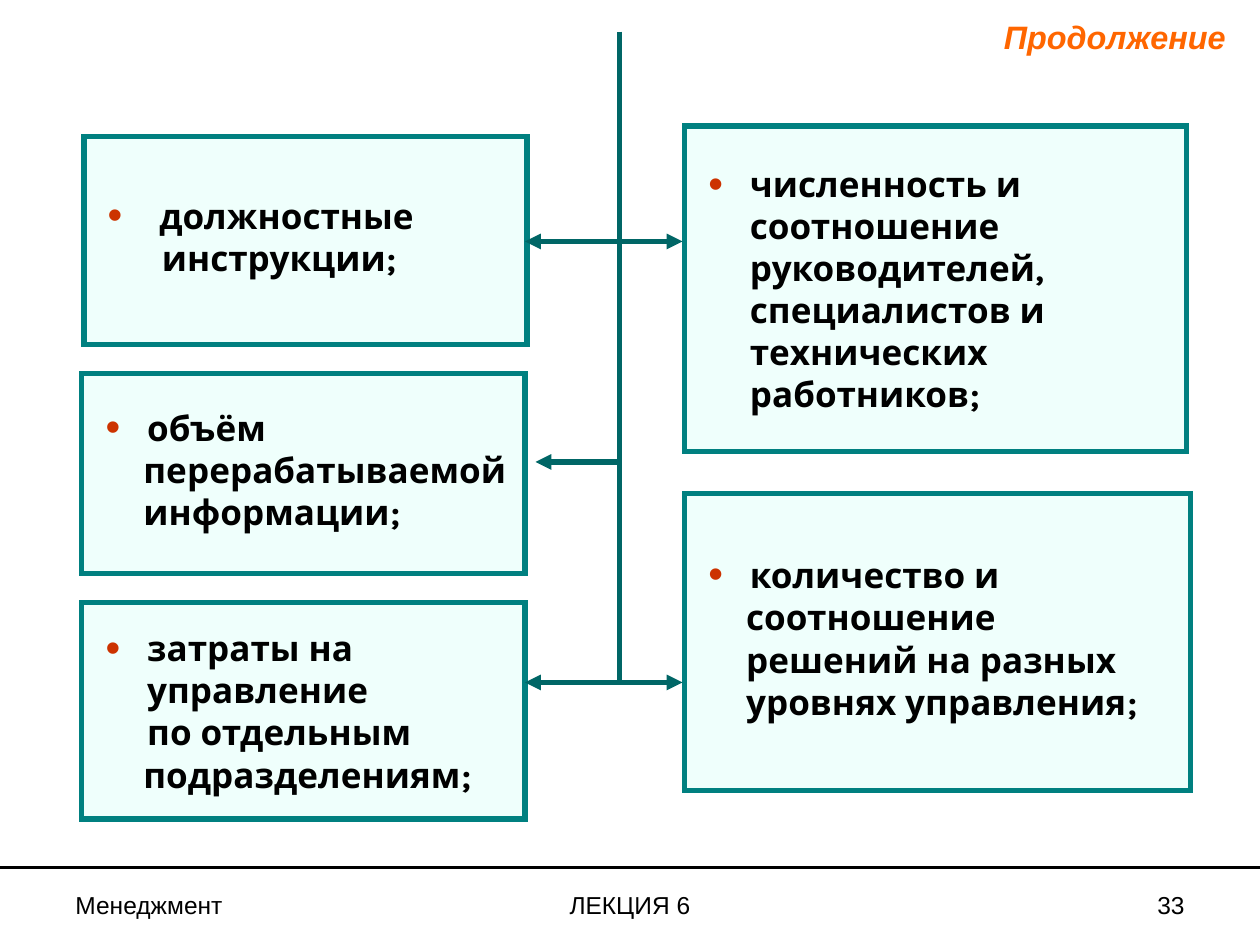
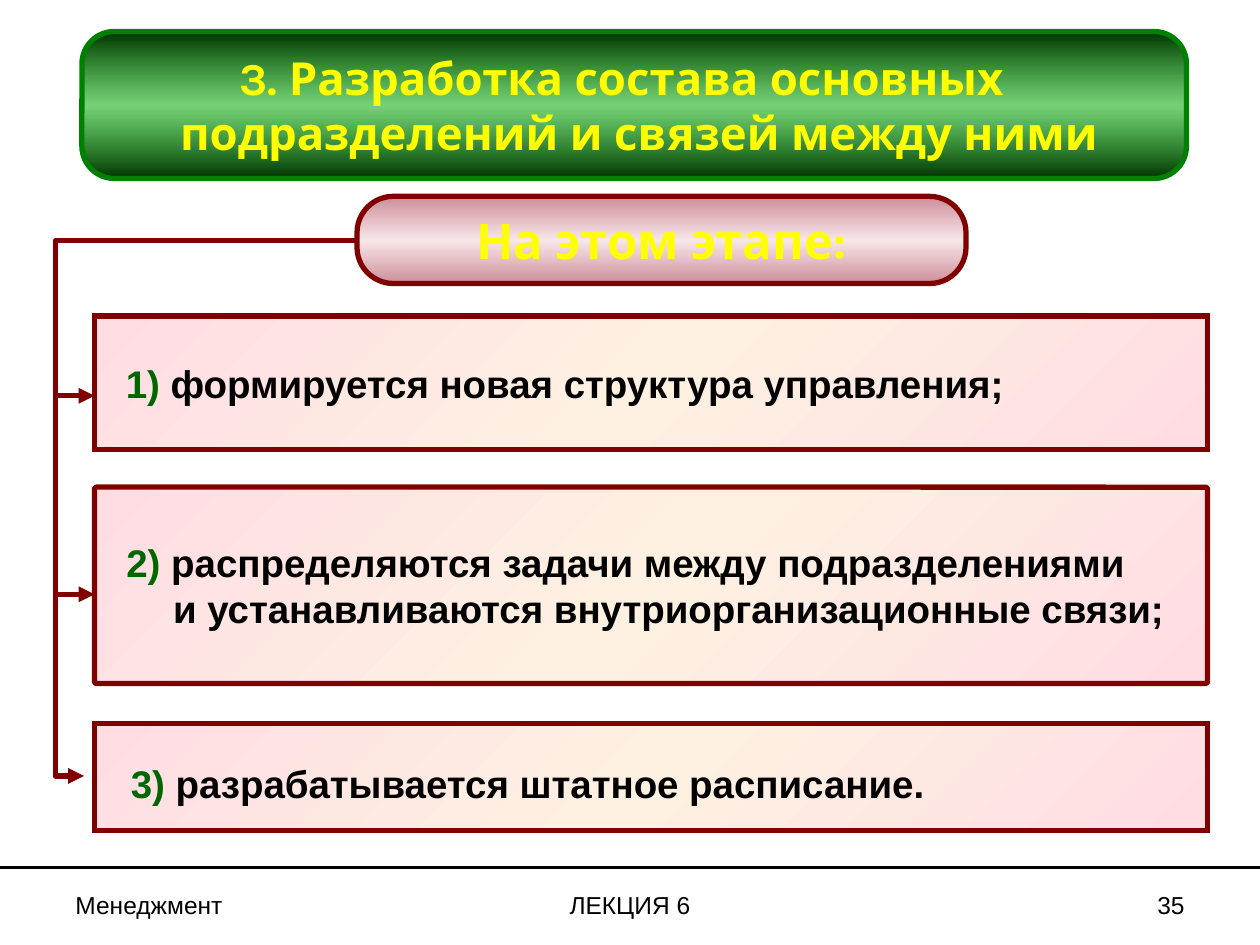
from dataclasses import dataclass
from typing import Optional

from pptx import Presentation
from pptx import util as u
from pptx.dml.color import RGBColor
from pptx.enum import shapes, text
from pptx.oxml import parse_xml
from pptx.oxml.ns import nsdecls, qn

COLS, ROWS = 120, 90
W, H = u.Inches(10), u.Inches(7.5)
HEAD_FONT, BODY_FONT = "Karla", "Arial"
LEFT, CENTER, RIGHT = text.PP_ALIGN.LEFT, text.PP_ALIGN.CENTER, text.PP_ALIGN.RIGHT
COLORS = {
    "text": "000000",
    "accent": "FF6600",
    "bullet": "CC3300",
    "mint": "EFFFFC",
    "teal": "008080",
    "trunk": "006666",
    "maroon": "800000",
    "green": "008000",
    "number": "006600",
    "yellow": "FFFF00",
}


@dataclass(frozen=True)
class Gradient:
    edge: str
    middle: str
    angle: int
    edge_alpha: int = 100
    middle_alpha: int = 100


@dataclass(frozen=True)
class Box:
    x: float
    y: float
    w: float
    h: float
    rounding: float = 0


@dataclass(frozen=True)
class Factor:
    box: Box
    head: str
    rest: tuple[str, ...] = ()
    head_indent: float = 0.42
    rest_indent: float = 0.39


@dataclass(frozen=True)
class Step:
    box: Box
    number: str
    body: str
    indent: float
    hanging: float
    top_inset: float = 0.05


@dataclass(frozen=True)
class Arrow:
    x1: float
    y1: float
    x2: float
    y2: float
    head: bool = False
    tail: bool = True
    bend: Optional[float] = None


@dataclass(frozen=True)
class FooterPart:
    x: float
    w: float
    align: text.PP_ALIGN


GREEN_BAND = Gradient("003300", "00AA00", 90, middle_alpha=53)
RED_BAND = Gradient("8B001B", "A50021", 90, 45, 9)
PINK_BAND = Gradient("FFDDE3", "FEF1E2", 225)

FOOTER = (
    FooterPart(6, 28, LEFT),
    FooterPart(41, 38, CENTER),
    FooterPart(86, 28, RIGHT),
)

FACTORS = (
    Factor(Box(8, 13, 42.2, 19.8), "должностные", ("инструкции;",), 0.5, 0.52),
    Factor(Box(7.8, 35.6, 42.2, 19), "объём", ("перерабатываемой", "информации;")),
    Factor(Box(7.8, 57.4, 42.2, 20.6), "затраты на\nуправление\nпо отдельным",
           ("подразделениям;",)),
    Factor(Box(65.2, 12, 47.8, 31),
           "численность и\nсоотношение\nруководителей,\nспециалистов и\nтехнических\nработников;"),
    Factor(Box(65.2, 47, 48.2, 28.3), "количество и",
           ("соотношение", "решений на разных", "уровнях управления;")),
)
FACTOR_ARROWS = (
    Arrow(59, 3, 59, 65, tail=False),
    Arrow(50, 65, 65, 65, head=True),
    Arrow(59, 44, 51, 44),
    Arrow(50, 23, 65, 23, head=True),
)

STEPS = (
    Step(Box(9, 30.1, 106, 12.7), "1)", " формируется новая структура управления;",
         0.53, 0.38),
    Step(Box(9, 46.4, 106, 18.7, 0.011), "2)",
         " распределяются задачи между подразделениями\n"
         "и устанавливаются внутриорганизационные связи;", 0.52, 0.37),
    Step(Box(9, 68.9, 106, 10.2), "3)", " разрабатывается штатное расписание.",
         0.52, 0.33, 0.14),
)
STEP_ARROWS = (
    Arrow(8, 73.9, 33.8, 22.9, head=True, tail=False, bend=-0.106),
    Arrow(5.2, 56.6, 9, 56.6),
    Arrow(5.2, 37.7, 9, 37.7),
)


def cx(cols: float) -> int:
    return round(W * cols / COLS)


def cy(rows: float) -> int:
    return round(H * rows / ROWS)


def rgb(name: str) -> RGBColor:
    return RGBColor.from_string(COLORS[name])


def write(tf, content: str, *, size: float, font: str = BODY_FONT, color: str = "text",
          bold: bool = False, italic: bool = False, align=LEFT, left: float = 0,
          right: float = 0, hanging: float = 0, before: float = 0,
          spacing: Optional[float] = None, bullet: bool = False,
          number: str = "") -> None:
    first = not tf.paragraphs[0].runs
    p = tf.paragraphs[0] if first else tf.add_paragraph()
    p.alignment = align
    p.space_before = u.Pt(0 if first else before)
    if spacing:
        p.line_spacing = spacing
    pPr = p._p.get_or_add_pPr()
    for key, inches in (("marL", left), ("marR", right), ("indent", -hanging)):
        pPr.set(key, str(u.Inches(inches)))
    if bullet:
        ns = nsdecls("a")
        for xml in (f'<a:buClr {ns}><a:srgbClr val="{COLORS["bullet"]}"/></a:buClr>',
                    f'<a:buSzPct {ns} val="120000"/>',
                    f'<a:buFont {ns} typeface="{BODY_FONT}"/>',
                    f'<a:buChar {ns} char="•"/>'):
            pPr.append(parse_xml(xml))
    parts = [(number, "number")] if number else []
    for i, line in enumerate(content.split("\n")):
        parts += [("\n", color)] * (i > 0) + [(line, color)]
    for part, part_color in parts:
        if part == "\n":
            p.add_line_break()
            continue
        r = p.add_run()
        r.text = part
        r.font.name, r.font.size = font, u.Pt(size)
        r.font.bold, r.font.italic = bold, italic
        r.font.color.rgb = rgb(part_color)


def paint_gradient(sp, grad: Gradient) -> None:
    stops = ((0, grad.edge, grad.edge_alpha), (50, grad.middle, grad.middle_alpha),
             (100, grad.edge, grad.edge_alpha))
    gs = "".join(f'<a:gs pos="{pos * 1000}"><a:srgbClr val="{color}">'
                 f'<a:alpha val="{alpha * 1000}"/></a:srgbClr></a:gs>'
                 for pos, color, alpha in stops)
    sp.fill.solid()
    spPr = sp._element.spPr
    spPr.replace(spPr.find(qn("a:solidFill")), parse_xml(
        f'<a:gradFill {nsdecls("a")} rotWithShape="1"><a:gsLst>{gs}</a:gsLst>'
        f'<a:lin ang="{grad.angle * 60000}" scaled="0"/></a:gradFill>'))


def add_box(s, box: Box, fill: str | Gradient, line: str):
    sp = s.shapes.add_shape(shapes.MSO_SHAPE.ROUNDED_RECTANGLE,
                            cx(box.x), cy(box.y), cx(box.w), cy(box.h))
    sp.adjustments[0] = box.rounding
    sp.shadow.inherit = False
    if isinstance(fill, Gradient):
        paint_gradient(sp, fill)
    else:
        sp.fill.solid()
        sp.fill.fore_color.rgb = rgb(fill)
    sp.line.color.rgb = rgb(line)
    sp.line.width = u.Pt(3)
    if not box.rounding:
        sp.line._get_or_add_ln().append(
            parse_xml(f'<a:miter {nsdecls("a")} lim="800000"/>'))
    tf = sp.text_frame
    tf.word_wrap = False
    tf.vertical_anchor = text.MSO_ANCHOR.MIDDLE
    return tf


def add_label(s, box: Box, content: str, **fmt) -> None:
    tf = s.shapes.add_textbox(cx(box.x), cy(box.y), cx(box.w), cy(box.h)).text_frame
    tf.word_wrap = True
    write(tf, content, **fmt)


def add_arrow(s, arrow: Arrow, color: str, width: float = 3) -> None:
    kind = shapes.MSO_CONNECTOR
    cn = s.shapes.add_connector(kind.STRAIGHT if arrow.bend is None else kind.ELBOW,
                                cx(arrow.x1), cy(arrow.y1), cx(arrow.x2), cy(arrow.y2))
    cn.line.color.rgb = rgb(color)
    cn.line.width = u.Pt(width)
    ln = cn.line._get_or_add_ln()
    for tag, shown in (("headEnd", arrow.head), ("tailEnd", arrow.tail)):
        if shown:
            ln.append(parse_xml(f'<a:{tag} {nsdecls("a")} type="triangle"/>'))
    spPr = cn._element.spPr
    spPr.append(parse_xml(f'<a:effectLst {nsdecls("a")}/>'))
    if arrow.bend is not None:
        geom = spPr.find(qn("a:prstGeom"))
        geom.get_or_add_avLst().append(parse_xml(
            f'<a:gd {nsdecls("a")} name="adj1" fmla="val {round(arrow.bend * 100000)}"/>'))


def add_page(prs, number: int):
    s = prs.slides.add_slide(prs.slide_layouts[6])
    add_arrow(s, Arrow(0, 82.6, COLS, 82.6, tail=False), "text", 1.5)
    for part, content in zip(FOOTER, ("Менеджмент", "ЛЕКЦИЯ 6", str(number))):
        add_label(s, Box(part.x, 84.2, part.w, 4.1), content, size=14, align=part.align)
    return s


def build_factors(prs) -> None:
    s = add_page(prs, 33)
    for factor in FACTORS:
        tf = add_box(s, factor.box, "mint", "teal")
        fmt = dict(size=20, font=HEAD_FONT, bold=True)
        write(tf, factor.head, left=factor.head_indent, hanging=factor.head_indent - 0.09,
              spacing=None if "\n" in factor.head else 0.8, bullet=True, **fmt)
        for line in factor.rest:
            write(tf, line, left=factor.rest_indent, before=5, spacing=0.8, **fmt)
    add_label(s, Box(90.2, 1, 27.7, 5.2), "Продолжение", size=18.5, color="accent",
              bold=True, italic=True, align=RIGHT)
    for arrow in FACTOR_ARROWS:
        add_arrow(s, arrow, "trunk")


def build_steps(prs) -> None:
    s = add_page(prs, 35)
    for arrow in STEP_ARROWS:
        add_arrow(s, arrow, "maroon")
    heading = dict(font=HEAD_FONT, color="yellow", bold=True, align=CENTER)
    tf = add_box(s, Box(7.8, 3, 105.2, 14, 0.22), GREEN_BAND, "green")
    write(tf, "3. Разработка состава основных", size=26, right=0.2, **heading)
    write(tf, "подразделений и связей между ними", size=26, left=0.08, **heading)
    tf = add_box(s, Box(34, 18.7, 58, 8.3, 0.417), RED_BAND, "maroon")
    write(tf, "На этом этапе:", size=28, **heading)
    for step in STEPS:
        tf = add_box(s, step.box, PINK_BAND, "maroon")
        tf.margin_top = u.Inches(step.top_inset)
        write(tf, step.body, number=step.number, size=22, bold=True,
              left=step.indent, hanging=step.hanging)


def main() -> None:
    prs = Presentation()
    prs.slide_width, prs.slide_height = W, H
    build_factors(prs)
    build_steps(prs)
    prs.save("out.pptx")


if __name__ == "__main__":
    main()
